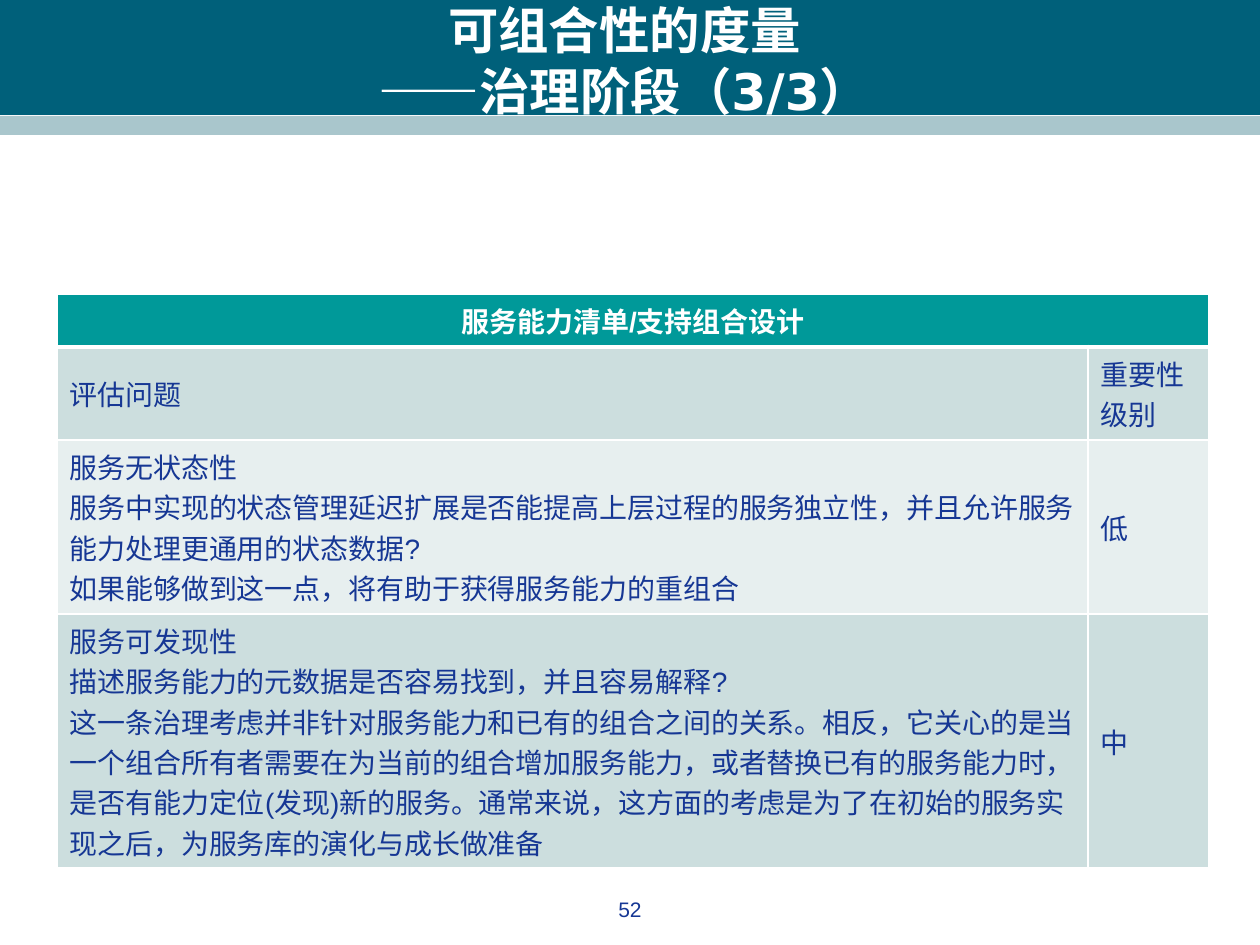
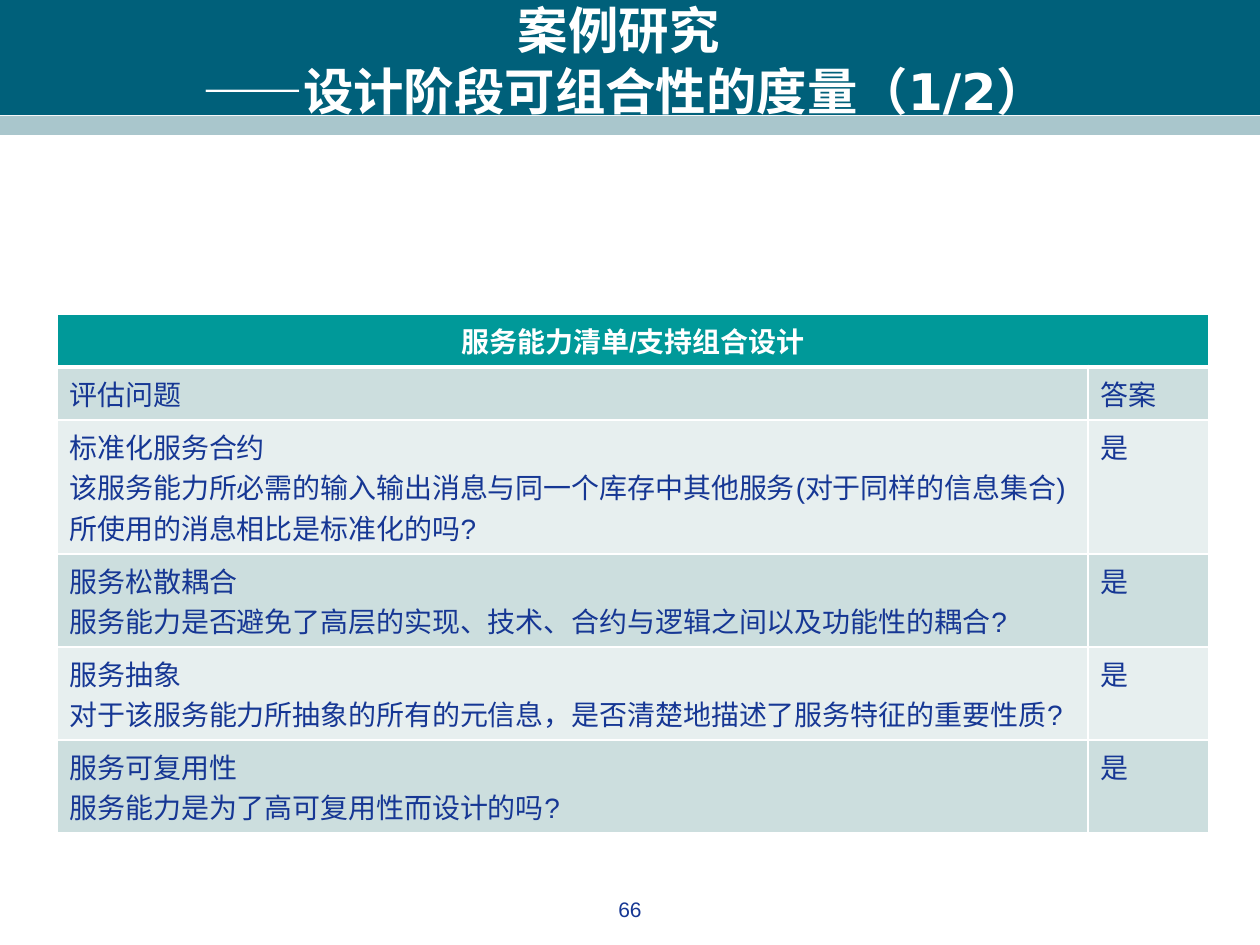
"""Build two slides on measuring service composability."""
import pptx
import pptx.dml.color
import pptx.enum.shapes
import pptx.enum.text
import pptx.oxml
import pptx.oxml.ns
import pptx.util

RGB = pptx.dml.color.RGBColor
ALIGN = pptx.enum.text.PP_ALIGN
ANCHOR = pptx.enum.text.MSO_ANCHOR
NAVY = RGB(0x16, 0x37, 0x94)
WHITE = RGB(0xFF, 0xFF, 0xFF)
DEEP = RGB(0x00, 0x60, 0x7A)
MIST = RGB(0xA9, 0xC6, 0xCC)
TEAL = RGB(0x00, 0x99, 0x99)
STRIPES = [RGB(0xCC, 0xDE, 0xDE), RGB(0xE7, 0xEF, 0xEF)]
SCALE = 914400 / 126
HEAD = "服务能力清单/支持组合设计"
ASK = "评估问题"

SLIDES = [
    dict(
        title="可组合性的度量\v——治理阶段（3/3）",
        page="52", top=294, anchor=ANCHOR.MIDDLE,
        heights=[53, 93, 174, 254],
        rows=[
            ([ASK], "重要性级别"),
            (["服务无状态性",
              "服务中实现的状态管理延迟扩展是否能提高上层过程的服务独立性，"
              "并且允许服务能力处理更通用的状态数据?",
              "如果能够做到这一点，将有助于获得服务能力的重组合"], "低"),
            (["服务可发现性",
              "描述服务能力的元数据是否容易找到，并且容易解释?",
              "这一条治理考虑并非针对服务能力和已有的组合之间的关系。"
              "相反，它关心的是当一个组合所有者需要在为当前的组合增加服务能力，"
              "或者替换已有的服务能力时，是否有能力定位(发现)新的服务。"
              "通常来说，这方面的考虑是为了在初始的服务实现之后，"
              "为服务库的演化与成长做准备"], "中"),
        ],
    ),
    dict(
        title="案例研究 \v——设计阶段可组合性的度量（1/2）",
        page="66", top=314, anchor=ANCHOR.TOP,
        heights=[53, 53, 134, 93, 93, 93],
        rows=[
            ([ASK], "答案"),
            (["标准化服务合约",
              "该服务能力所必需的输入输出消息与同一个库存中其他服务"
              "(对于同样的信息集合)所使用的消息相比是标准化的吗?"], "是"),
            (["服务松散耦合",
              "服务能力是否避免了高层的实现、技术、合约与逻辑之间以及功能性的耦合?"], "是"),
            (["服务抽象",
              "对于该服务能力所抽象的所有的元信息，"
              "是否清楚地描述了服务特征的重要性质?"], "是"),
            (["服务可复用性", "服务能力是为了高可复用性而设计的吗?"], "是"),
        ],
    ),
]


def px(*vals):
    return [pptx.util.Emu(round(val * SCALE)) for val in vals]


def write(frame, lines, size=16, font="Arial", color=NAVY, bold=False,
          align=ALIGN.LEFT):
    frame.word_wrap = True
    for num, line in enumerate(lines):
        para = frame.add_paragraph() if num else frame.paragraphs[0]
        para.text = line
        para.alignment = align
        for run in para.runs:
            run.font.size = pptx.util.Pt(size)
            run.font.name = font
            run.font.bold = bold
            run.font.color.rgb = color


deck = pptx.Presentation()
deck.slide_width, deck.slide_height = px(1260, 945)

for data in SLIDES:
    slide = deck.slides.add_slide(deck.slide_layouts[6])
    shapes = slide.shapes

    for top, tall, color in [(0, 115, DEEP), (116, 19, MIST)]:
        band = shapes.add_shape(pptx.enum.shapes.MSO_SHAPE.RECTANGLE,
                                *px(0, top, 1260, tall))
        band.shadow.inherit = False
        band.fill.solid()
        band.fill.fore_color.rgb = color
        band.line.fill.background()

    title = shapes.add_textbox(*px(42, 21, 1165, 78)).text_frame
    title.vertical_anchor = ANCHOR.MIDDLE
    write(title, [data["title"]], size=28.8, font="DejaVu Sans",
          color=WHITE, bold=True, align=ALIGN.CENTER)

    heights = data["heights"]
    table = shapes.add_table(len(heights), 2,
                             *px(57, data["top"], 1152, sum(heights))).table
    table.first_row = table.horz_banding = False
    for col, wide in zip(table.columns, px(1031, 121)):
        col.width = wide
    for row, tall in zip(table.rows, px(*heights)):
        row.height = tall
    table.cell(0, 0).merge(table.cell(0, 1))
    write(table.cell(0, 0).text_frame, [HEAD], color=WHITE, bold=True,
          align=ALIGN.CENTER)
    for num, (asks, mark) in enumerate(data["rows"], 1):
        write(table.cell(num, 0).text_frame, asks)
        write(table.cell(num, 1).text_frame, [mark])

    for num, row in enumerate(table.rows):
        for cell in row.cells:
            cell.vertical_anchor = data["anchor"]
            cell.fill.solid()
            cell.fill.fore_color.rgb = STRIPES[(num - 1) % 2] if num else TEAL
            thick = {"L": 1, "R": 1, "T": 3 if num == 1 else 1,
                     "B": 1 if num else 3}
            props = cell._tc.get_or_add_tcPr()
            for spot, (side, wide) in enumerate(thick.items()):
                props.insert(spot, pptx.oxml.parse_xml(
                    f'<a:ln{side} {pptx.oxml.ns.nsdecls("a")} w="{wide * 12700}">'
                    f'<a:solidFill><a:srgbClr val="{WHITE}"/></a:solidFill>'
                    f'</a:ln{side}>'))

    foot = shapes.add_textbox(*px(483, 890, 294, 44)).text_frame
    write(foot, [data["page"]], size=12, align=ALIGN.CENTER)

deck.save("out.pptx")
